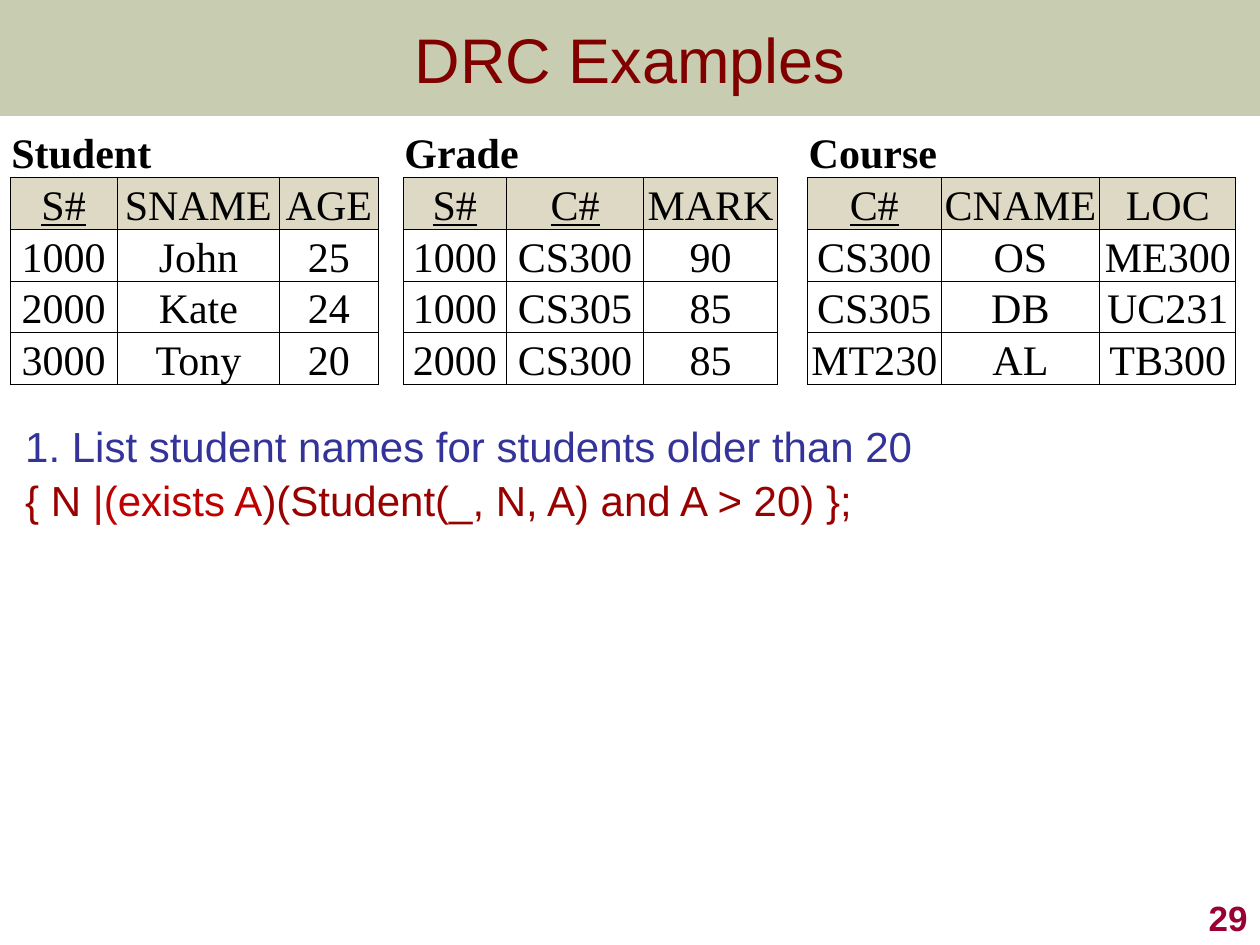
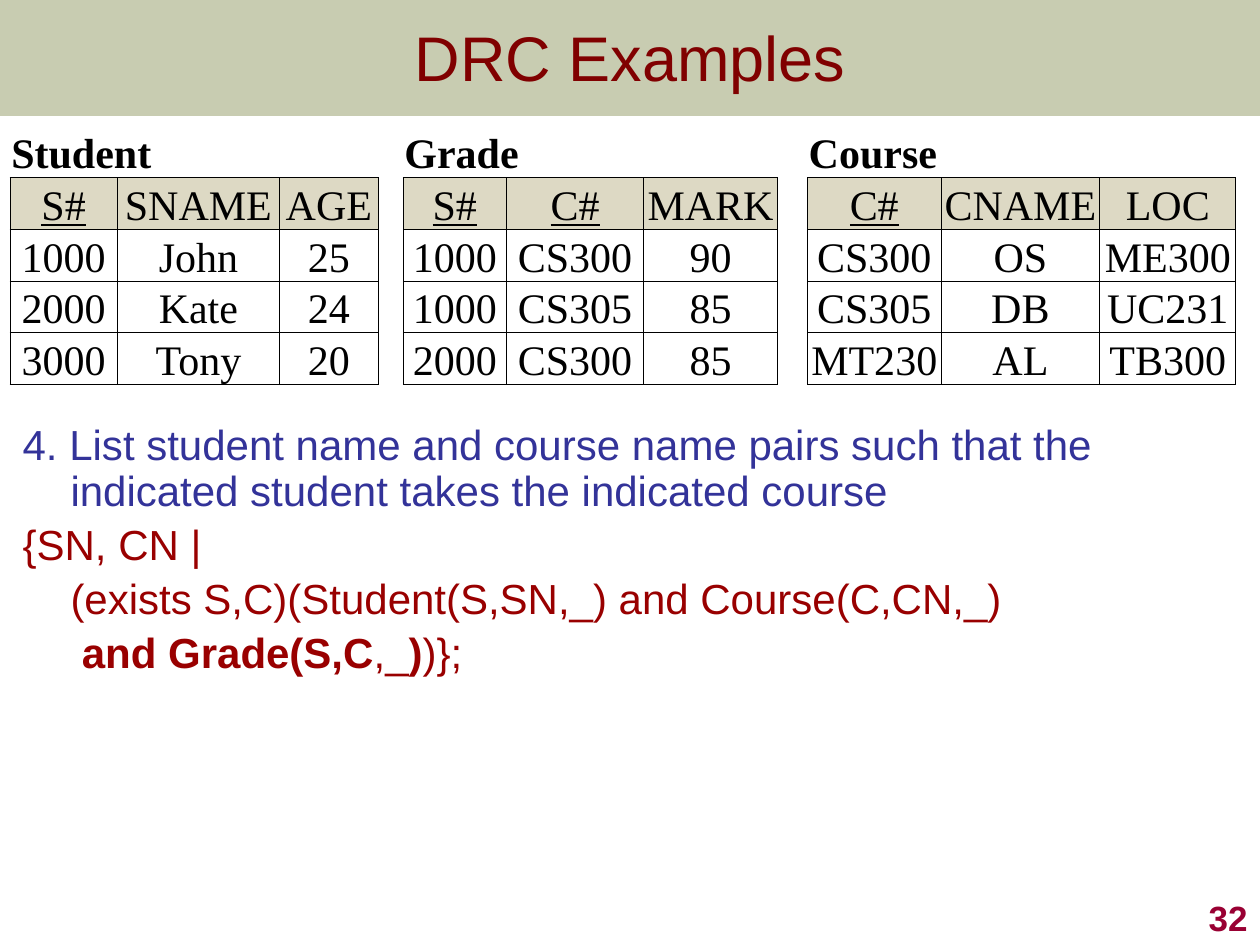
from lxml.etree import SubElement
from pptx import Presentation
from pptx.dml.color import RGBColor
from pptx.enum.shapes import MSO_SHAPE
from pptx.enum.text import MSO_ANCHOR, MSO_AUTO_SIZE, PP_ALIGN
from pptx.oxml.ns import qn
from pptx.util import Inches, Pt

COLORS = {
    "band": "677228",
    "title": "800000",
    "question": "333399",
    "answer": "990000",
    "highlight": "C00000",
    "number": "990033",
    "header": "DDD9C4",
    "paper": "FFFFFF",
    "ink": "000000",
}
SANS, SERIF = "Arial", "Times New Roman"
GRID_COLUMNS, GRID_ROWS = 100, 75
NO_TABLE_STYLE = "{2D5ABB26-0587-4C30-8999-92F81FD0307C}"
HANGING, CONTINUED, CONTINUED_DEEPER = (0.38, -0.38), (0.38, 0), (0.47, 0)

RELATIONS = {
    "Student": [["S#", "SNAME", "AGE"], ["1000", "John", "25"],
                ["2000", "Kate", "24"], ["3000", "Tony", "20"]],
    "Grade": [["S#", "C#", "MARK"], ["1000", "CS300", "90"],
              ["1000", "CS305", "85"], ["2000", "CS300", "85"]],
    "Course": [["C#", "CNAME", "LOC"], ["CS300", "OS", "ME300"],
               ["CS305", "DB", "UC231"], ["MT230", "AL", "TB300"]],
}
KEYS = ("S#", "C#")
COLUMN_WIDTHS = [8.5, 12.9, 7.8, 2, 8.2, 10.9, 10.6, 2.4, 10.6, 12.6, 10.8]
ROW_HEIGHT = 3.8


class Deck:
    def __init__(self):
        self.presentation = Presentation()
        self.presentation.slide_width = Inches(10)
        self.presentation.slide_height = Inches(7.5)
        self.slide = None

    def across(self, columns):
        return round(self.presentation.slide_width * columns / GRID_COLUMNS)

    def down(self, rows):
        return round(self.presentation.slide_height * rows / GRID_ROWS)

    def box(self, left, top, width, height):
        return self.across(left), self.down(top), self.across(width), self.down(height)

    def place(self, shape, *area):
        shape.left, shape.top, shape.width, shape.height = self.box(*area)

    def add_run(self, paragraph, text, size, color, name=SANS, bold=False, underline=False):
        run = paragraph.add_run()
        run.text = text
        font = run.font
        font.size, font.name, font.bold, font.underline = Pt(size), name, bold, underline
        font.color.rgb = RGBColor.from_string(COLORS[color])

    def add_slide(self):
        self.slide = self.presentation.slides.add_slide(self.presentation.slide_layouts[1])

    def add_band(self):
        band = self.slide.shapes.add_shape(MSO_SHAPE.RECTANGLE, *self.box(0, 0, 100, 9.2))
        band.shadow.inherit = False
        band.line.fill.background()
        band.fill.solid()
        band.fill.fore_color.rgb = RGBColor.from_string(COLORS["band"])
        color = band.element.spPr.find(qn("a:solidFill"))[0]
        SubElement(color, qn("a:alpha"), val="36000")
        self.slide.shapes.element.insert(2, band.element)

    def add_title(self, text, height):
        title = self.slide.shapes.title
        self.place(title, 0, 0, 100, height)
        frame = title.text_frame
        frame.auto_size = MSO_AUTO_SIZE.NONE
        frame.vertical_anchor = MSO_ANCHOR.MIDDLE
        paragraph = frame.paragraphs[0]
        paragraph.alignment = PP_ALIGN.CENTER
        self.add_run(paragraph, text, 36, "title")

    def add_body(self, area, lines):
        body = self.slide.placeholders[1]
        self.place(body, *area)
        frame = body.text_frame
        frame.auto_size = MSO_AUTO_SIZE.NONE
        frame.margin_right = 0
        for index, (indent, runs) in enumerate(lines):
            paragraph = frame.add_paragraph() if index else frame.paragraphs[0]
            properties = paragraph._p.get_or_add_pPr()
            for attribute, inches in zip(("marL", "indent"), indent):
                properties.set(attribute, str(Inches(inches)))
            SubElement(properties, qn("a:buNone"))
            paragraph.line_spacing = 0.9
            paragraph.space_before = Pt(5 if index else 0)
            for text, color, bold in runs:
                self.add_run(paragraph, text, 24, color, bold=bold)

    def add_number(self, number):
        frame = self.slide.shapes.add_textbox(*self.box(79.2, 70, 20.8, 5)).text_frame
        frame.word_wrap = True
        frame.vertical_anchor = MSO_ANCHOR.BOTTOM
        paragraph = frame.paragraphs[0]
        paragraph.alignment = PP_ALIGN.RIGHT
        self.add_run(paragraph, str(number), 20, "number", bold=True)

    def style_cell(self, cell, sides, fill="paper"):
        properties = cell._tc.get_or_add_tcPr()
        for side in "LRTB":
            line = SubElement(properties, qn(f"a:ln{side}"), w=str(Pt(0.5)))
            if side in sides:
                solid = SubElement(line, qn("a:solidFill"))
                SubElement(solid, qn("a:srgbClr"), val=COLORS["ink"])
            else:
                SubElement(line, qn("a:noFill"))
        cell.fill.solid()
        cell.fill.fore_color.rgb = RGBColor.from_string(COLORS[fill])
        cell.margin_left = cell.margin_right = cell.margin_top = Inches(0.01)
        cell.margin_bottom = 0
        cell.vertical_anchor = MSO_ANCHOR.BOTTOM

    def add_relations(self, relations):
        row_count = 1 + max(len(rows) for rows in relations.values())
        area = self.box(0.8, 10, sum(COLUMN_WIDTHS), row_count * ROW_HEIGHT)
        shape = self.slide.shapes.add_table(row_count, len(COLUMN_WIDTHS), *area)
        shape.element.find(".//" + qn("a:tableStyleId")).text = NO_TABLE_STYLE
        table = shape.table
        table.first_row = table.horz_banding = False
        for column, width in zip(table.columns, COLUMN_WIDTHS):
            column.width = self.across(width)
        for row in table.rows:
            row.height = self.down(ROW_HEIGHT)
        first = 0
        for name, rows in relations.items():
            last = first + len(rows[0]) - 1
            if first:
                for row in range(row_count):
                    self.style_cell(table.cell(row, first - 1), "LR" if row else "")
            for column in range(first, last + 1):
                self.style_cell(table.cell(0, column), "B")
            heading = table.cell(0, first)
            heading.merge(table.cell(0, last))
            self.add_run(heading.text_frame.paragraphs[0], name, 24, "ink", SERIF, bold=True)
            for row, values in enumerate(rows, 1):
                for column, value in enumerate(values, first):
                    cell = table.cell(row, column)
                    self.style_cell(cell, "LRTB", "header" if row == 1 else "paper")
                    paragraph = cell.text_frame.paragraphs[0]
                    paragraph.alignment = PP_ALIGN.CENTER
                    self.add_run(paragraph, value, 24, "ink", SERIF, underline=value in KEYS)
            first = last + 2

    def add_example(self, number, title_height, body_area, lines):
        self.add_slide()
        self.add_band()
        self.add_body(body_area, lines)
        self.add_title("DRC Examples", title_height)
        self.add_number(number)
        self.add_relations(RELATIONS)


def main():
    deck = Deck()
    deck.add_example(29, 9.2, (1, 33.3, 90.7, 34.2), [
        (HANGING, [("1. List student names for students older than 20", "question", False)]),
        (HANGING, [("{ N ", "answer", False),
                   ("|(exists A", "highlight", False),
                   (")(Student(_, N, A) and A > 20) };", "answer", False)]),
    ])
    deck.add_example(32, 8.9, (0.8, 33.2, 94, 34.2), [
        (HANGING, [("4. List student name and course name pairs such that the "
                    "indicated student takes the indicated course", "question", False)]),
        (HANGING, [("{SN, CN |", "answer", False)]),
        (CONTINUED, [("(exists S,C)(Student(S,SN,_) and Course(C,CN,_)", "answer", False)]),
        (CONTINUED_DEEPER, [("and Grade(S,C", "answer", True),
                            (",_", "answer", False),
                            (")", "answer", True),
                            (")};", "answer", False)]),
    ])
    deck.presentation.save("out.pptx")


if __name__ == "__main__":
    main()
